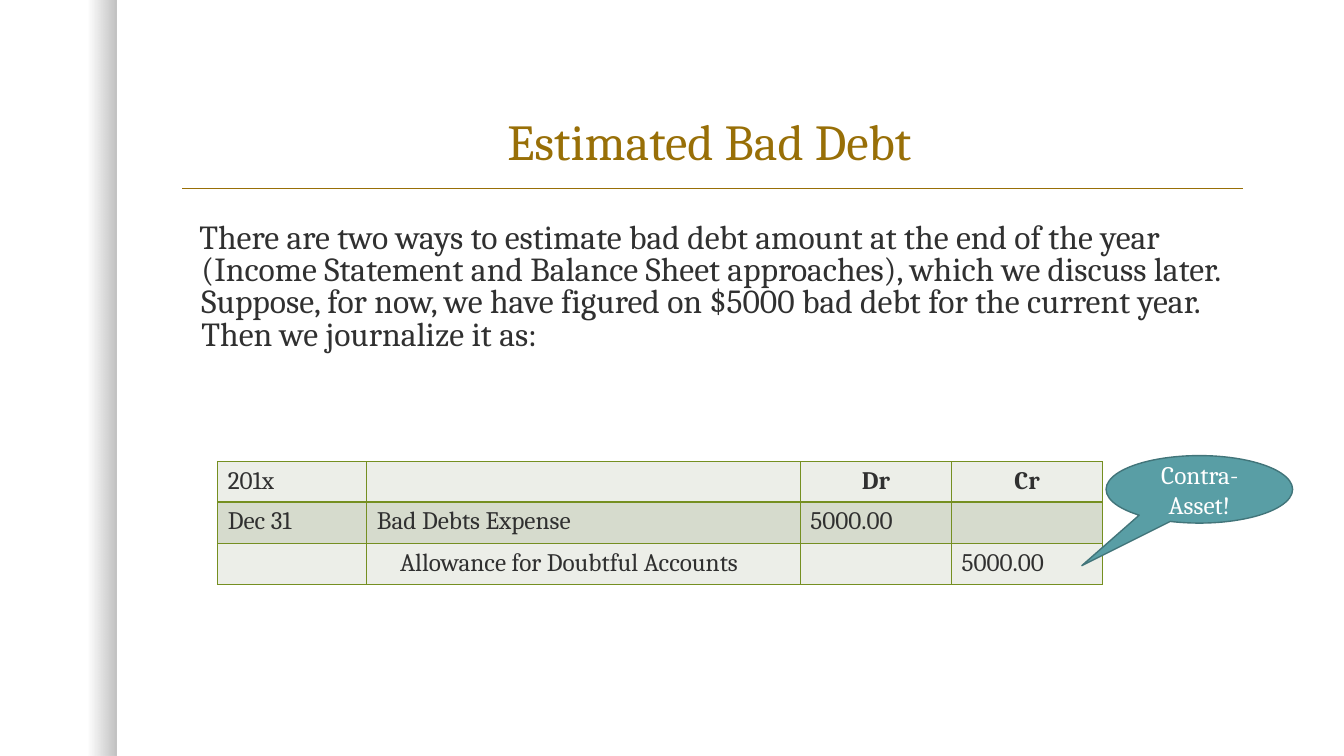
"""Build the slide on journalizing an estimated bad debt."""
from lxml import etree
from pptx import Presentation, util as u
from pptx.dml.color import RGBColor
from pptx.enum import shapes, text
from pptx.oxml import ns

WIDTH, HEIGHT = u.Inches(13.33), u.Inches(7.5)
FONT = "Cambria"
BLACK = RGBColor(0x00, 0x00, 0x00)
WHITE = RGBColor(0xFF, 0xFF, 0xFF)
GOLD = RGBColor(0x98, 0x6F, 0x07)
INK = RGBColor(0x30, 0x30, 0x30)
OLIVE = RGBColor(0x75, 0x8F, 0x21)
BANDS = (RGBColor(0xEC, 0xEE, 0xE8), RGBColor(0xD6, 0xDB, 0xCD))
TEAL = RGBColor(0x59, 0x9E, 0xA5)
DARK_TEAL = RGBColor(0x42, 0x75, 0x7A)

BODY = (
    "There are two ways to estimate bad debt amount at the end of the year "
    "(Income Statement and Balance Sheet approaches), which we discuss later. "
    "Suppose, for now, we have figured on $5000 bad debt for the current year. "
    "Then we journalize it as:"
)
JOURNAL = (
    ("201x", "", "Dr", "Cr"),
    ("Dec 31", "Bad Debts Expense", "5000.00", ""),
    ("", "Allowance for Doubtful Accounts", "", "5000.00"),
)
COLUMN_SHARES = (11.1, 32.25, 11.25, 11.25)
ROW_SHARES = (5.2, 5.47, 5.47)


def across(percent):
    """Return a percentage of the slide's width."""
    return u.Emu(round(WIDTH * percent / 100))


def down(percent):
    """Return a percentage of the slide's height."""
    return u.Emu(round(HEIGHT * percent / 100))


def area(left, top, width, height):
    """Turn percentages of the slide into a position and a size."""
    return across(left), down(top), across(width), down(height)


def write(text_frame, wording, size, color, align=text.PP_ALIGN.LEFT, bold=False):
    """Write one formatted paragraph and return it."""
    text_frame.text = wording
    text_frame.word_wrap = True
    paragraph = text_frame.paragraphs[0]
    paragraph.alignment = align
    for run in paragraph.runs:
        run.font.name = FONT
        run.font.size = u.Pt(size)
        run.font.bold = bold
        run.font.color.rgb = color
    return paragraph


def add_side_shadow(slide):
    """Add the strip that fades in towards its right edge."""
    shape = slide.shapes.add_shape(shapes.MSO_SHAPE.RECTANGLE, *area(0, 0, 8.7, 100))
    shape.shadow.inherit = False
    shape.line.fill.background()
    shape.fill.gradient()
    shape.fill.gradient_angle = 0
    for stop, position in zip(shape.fill.gradient_stops, (0.75, 1)):
        stop.position = position
        stop.color.rgb = BLACK
    for color, opacity in zip(shape._element.iter(ns.qn("a:srgbClr")), (0, 25000)):
        etree.SubElement(color, ns.qn("a:alpha"), val=str(opacity))


def add_rule(slide, left, right, top):
    """Add a thin horizontal line."""
    rule = slide.shapes.add_connector(
        shapes.MSO_CONNECTOR.STRAIGHT, across(left), down(top), across(right), down(top)
    )
    rule.line.color.rgb = GOLD
    rule.line.width = u.Pt(1)
    etree.SubElement(rule._element.spPr, ns.qn("a:effectLst"))


def add_title(slide, wording):
    """Add the centred title."""
    text_frame = slide.shapes.add_textbox(*area(12.45, 5.6, 80.65, 17.73)).text_frame
    text_frame.vertical_anchor = text.MSO_ANCHOR.BOTTOM
    write(text_frame, wording, 36, GOLD, text.PP_ALIGN.CENTER).line_spacing = 0.9


def add_body(slide, wording):
    """Add the body paragraph with its slight hanging indent."""
    text_frame = slide.shapes.add_textbox(*area(12.45, 28.93, 80.65, 18.93)).text_frame
    paragraph = write(text_frame, wording, 24, INK)
    paragraph.line_spacing = 0.8
    paragraph.space_before = u.Pt(18)
    properties = paragraph._p.get_or_add_pPr()
    properties.set("marL", str(u.Inches(0.24)))
    properties.set("indent", str(u.Inches(-0.02)))


def add_borders(cell):
    """Draw all four borders of a cell."""
    properties = cell._tc.get_or_add_tcPr()
    for side in ("lnL", "lnR", "lnT", "lnB"):
        border = etree.SubElement(properties, ns.qn(f"a:{side}"), w=str(u.Pt(1)))
        fill = etree.SubElement(border, ns.qn("a:solidFill"))
        etree.SubElement(fill, ns.qn("a:srgbClr"), val=str(OLIVE))


def add_journal(slide):
    """Add the journal entry as a banded table."""
    frame = slide.shapes.add_table(
        len(ROW_SHARES), len(COLUMN_SHARES),
        *area(16.2, 61.07, sum(COLUMN_SHARES), sum(ROW_SHARES)),
    )
    table = frame.table
    table.first_row = table.horz_banding = False
    for column, share in zip(table.columns, COLUMN_SHARES):
        column.width = across(share)
    for row, share in zip(table.rows, ROW_SHARES):
        row.height = down(share)
    for row_index, entries in enumerate(JOURNAL):
        for column_index, entry in enumerate(entries):
            cell = table.cell(row_index, column_index)
            heading = entry in ("Dr", "Cr")
            align = text.PP_ALIGN.CENTER if heading else text.PP_ALIGN.LEFT
            write(cell.text_frame, entry, 18, INK, align, heading)
            add_borders(cell)
            cell.fill.solid()
            cell.fill.fore_color.rgb = BANDS[row_index % 2]
    table.cell(2, 1).margin_left = u.Inches(0.33)


def add_callout(slide, wording):
    """Add the speech bubble pointing at the credit amount."""
    shape = slide.shapes.add_shape(
        shapes.MSO_SHAPE.OVAL_CALLOUT, *area(82.3, 60.27, 13.88, 8.93)
    )
    shape.adjustments[0], shape.adjustments[1] = -0.63, 1.13
    shape.shadow.inherit = False
    shape.fill.solid()
    shape.fill.fore_color.rgb = TEAL
    shape.line.color.rgb = DARK_TEAL
    shape.line.width = u.Pt(1)
    shape.text_frame.vertical_anchor = text.MSO_ANCHOR.MIDDLE
    write(shape.text_frame, wording, 18, WHITE, text.PP_ALIGN.CENTER)


def main():
    """Assemble and save the presentation."""
    presentation = Presentation()
    presentation.slide_width, presentation.slide_height = WIDTH, HEIGHT
    slide = presentation.slides.add_slide(presentation.slide_layouts[6])
    add_side_shadow(slide)
    add_rule(slide, 13.58, 92.5, 24.93)
    add_title(slide, "Estimated Bad Debt")
    add_body(slide, BODY)
    add_journal(slide)
    add_callout(slide, "Contra-Asset!")
    presentation.save("out.pptx")


if __name__ == "__main__":
    main()
